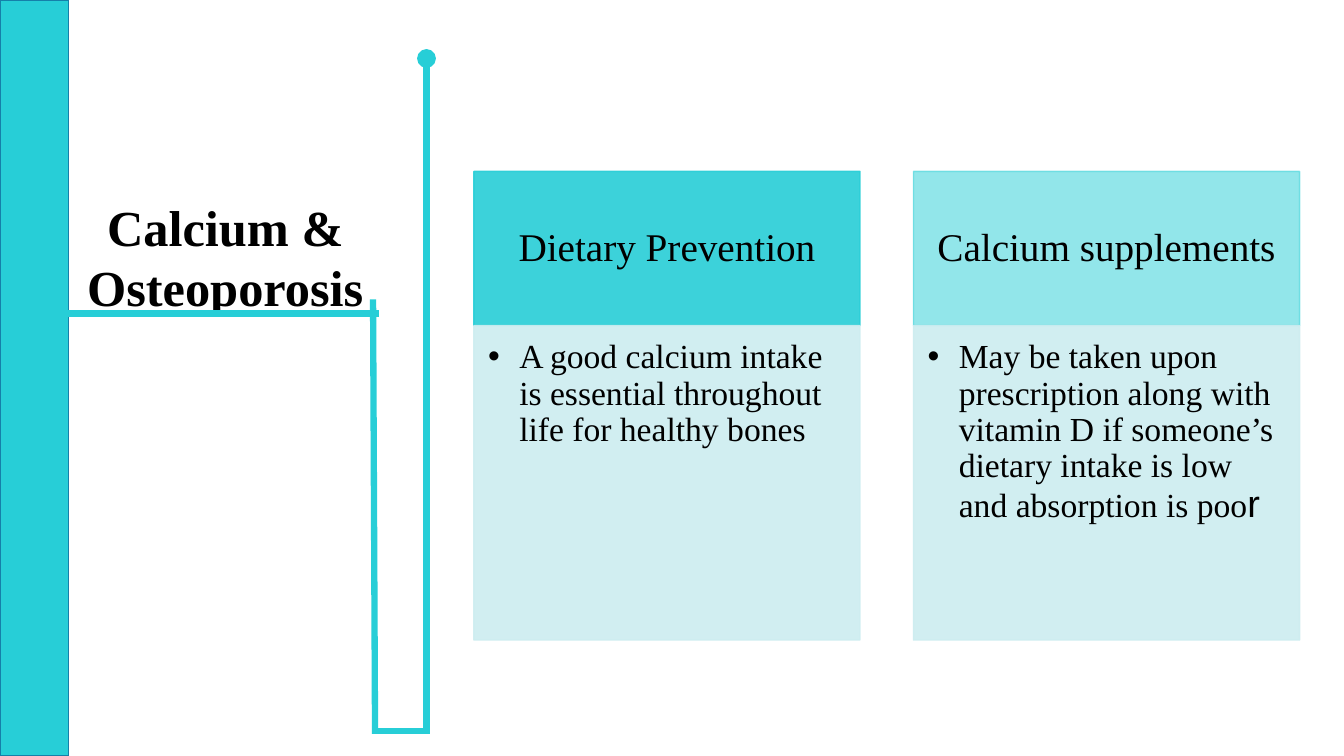
from lxml import etree
from pptx import Presentation
from pptx.dml.color import RGBColor
from pptx.enum import shapes, text
from pptx.oxml import ns
from pptx.util import Inches, Pt

TURQUOISE = RGBColor(0x27, 0xCE, 0xD7)
PALE = RGBColor(0xCD, 0xED, 0xF0)
BLUE = RGBColor(0x15, 0x80, 0xA9)
BLACK = RGBColor(0, 0, 0)
SERIF, SANS = "Times New Roman", "Arial"

TITLE = "Calcium & Osteoporosis"
COLUMNS = [
    ("Dietary Prevention", 90,
     [("A good calcium intake is essential throughout life for healthy bones", SERIF, 24)]),
    ("Calcium supplements", 50,
     [("May be taken upon prescription along with vitamin D if someone’s "
       "dietary intake is low and absorption is poo", SERIF, 24), ("r", SANS, 27)]),
]
RULES = [
    ((0.52, 3.11), (3.76, 3.11), "headEnd"),
    ((3.72, 7.28), (3.7, 2.97), None),
    ((4.23, 7.28), (4.23, 0.58), "tailEnd"),
    ((3.69, 7.25), (4.24, 7.25), None),
]
COLUMN_LEFT, COLUMN_STEP, COLUMN_WIDTH = 4.7, 4.36, 3.83
HEADER_TOP, HEADER_HEIGHT, BODY_HEIGHT = 1.7, 1.53, 3.12


def add_element(parent, tag, **attributes):
    """Append a DrawingML element to a parent."""
    return etree.SubElement(parent, ns.qn("a:" + tag), attributes)


def place(shape, left, top, width, height):
    """Position a shape, with lengths in inches."""
    shape.left, shape.top = Inches(left), Inches(top)
    shape.width, shape.height = Inches(width), Inches(height)


def paint(shape, color, opacity):
    """Give a shape a translucent fill and a matching outline."""
    shape.fill.solid()
    shape.fill.fore_color.rgb = color
    shape.line.color.rgb = color
    shape.line.width = Pt(1)
    for node in shape._element.spPr.iter(ns.qn("a:srgbClr")):
        add_element(node, "alpha", val=str(opacity * 1000))


def write(shape, runs, anchor, alignment, margins, spacing, bold=False):
    """Fill a placeholder with one paragraph of formatted runs."""
    frame = shape.text_frame
    frame.word_wrap = True
    frame.auto_size = text.MSO_AUTO_SIZE.NONE
    frame.vertical_anchor = anchor
    (frame.margin_left, frame.margin_top,
     frame.margin_right, frame.margin_bottom) = map(Inches, margins)
    paragraph = frame.paragraphs[0]
    paragraph.alignment = alignment
    paragraph.line_spacing = spacing
    paragraph.space_before = Pt(0)
    for words, font_name, size in runs:
        run = paragraph.add_run()
        run.text = words
        run.font.name = font_name
        run.font.size = Pt(size)
        run.font.bold = bold
        run.font.color.rgb = BLACK
    return paragraph


def add_bullet(paragraph):
    """Give a paragraph a black round bullet and a hanging indent."""
    paragraph.level = 1
    properties = paragraph._p.get_or_add_pPr()
    properties.set("marL", str(Inches(0.31)))
    properties.set("indent", str(-Inches(0.31)))
    add_element(add_element(properties, "buClr"), "srgbClr", val=str(BLACK))
    add_element(properties, "buFont", typeface=SANS)
    add_element(properties, "buChar", char="•")


def add_rule(slide, start, end, oval_end):
    """Draw a thick turquoise line, with an oval at one end if asked."""
    line = slide.shapes.add_connector(
        shapes.MSO_CONNECTOR.STRAIGHT, *map(Inches, start + end))
    line.line.color.rgb = TURQUOISE
    line.line.width = Pt(4.5)
    if oval_end:
        add_element(line.line._get_or_add_ln(), oval_end, type="oval")
    add_element(line._element.spPr, "effectLst")


def main():
    """Build the calcium and osteoporosis slide."""
    presentation = Presentation()
    presentation.slide_width, presentation.slide_height = Inches(13.33), Inches(7.5)
    slide = presentation.slides.add_slide(
        presentation.slide_layouts.get_by_name("Comparison"))
    title, *boxes = slide.placeholders
    center, middle = text.PP_ALIGN.CENTER, text.MSO_ANCHOR.MIDDLE

    place(title, 0.68, 1.89, 3.11, 1.31)
    write(title, [(TITLE, SERIF, 36)], middle, center, (0.1, 0.05, 0.1, 0.05), 1.0, True)

    for index, (heading, opacity, runs) in enumerate(COLUMNS):
        header, body = boxes[2 * index:2 * index + 2]
        left = COLUMN_LEFT + index * COLUMN_STEP
        place(header, left, HEADER_TOP, COLUMN_WIDTH, HEADER_HEIGHT)
        paint(header, TURQUOISE, opacity)
        write(header, [(heading, SERIF, 28)], middle, center, (0.22, 0.12, 0.22, 0.12), 0.9)
        place(body, left, HEADER_TOP + HEADER_HEIGHT, COLUMN_WIDTH, BODY_HEIGHT)
        paint(body, PALE, 90)
        add_bullet(write(body, runs, text.MSO_ANCHOR.TOP, text.PP_ALIGN.LEFT,
                         (0.14, 0.14, 0.19, 0.21), 0.9))

    bar = slide.shapes.add_shape(shapes.MSO_SHAPE.RECTANGLE, 0, 0, Inches(0.68), Inches(7.5))
    bar.shadow.inherit = False
    bar.fill.solid()
    bar.fill.fore_color.rgb = TURQUOISE
    bar.line.color.rgb = BLUE
    bar.line.width = Pt(1)

    for start, end, oval_end in RULES:
        add_rule(slide, start, end, oval_end)

    presentation.save("out.pptx")


if __name__ == "__main__":
    main()
